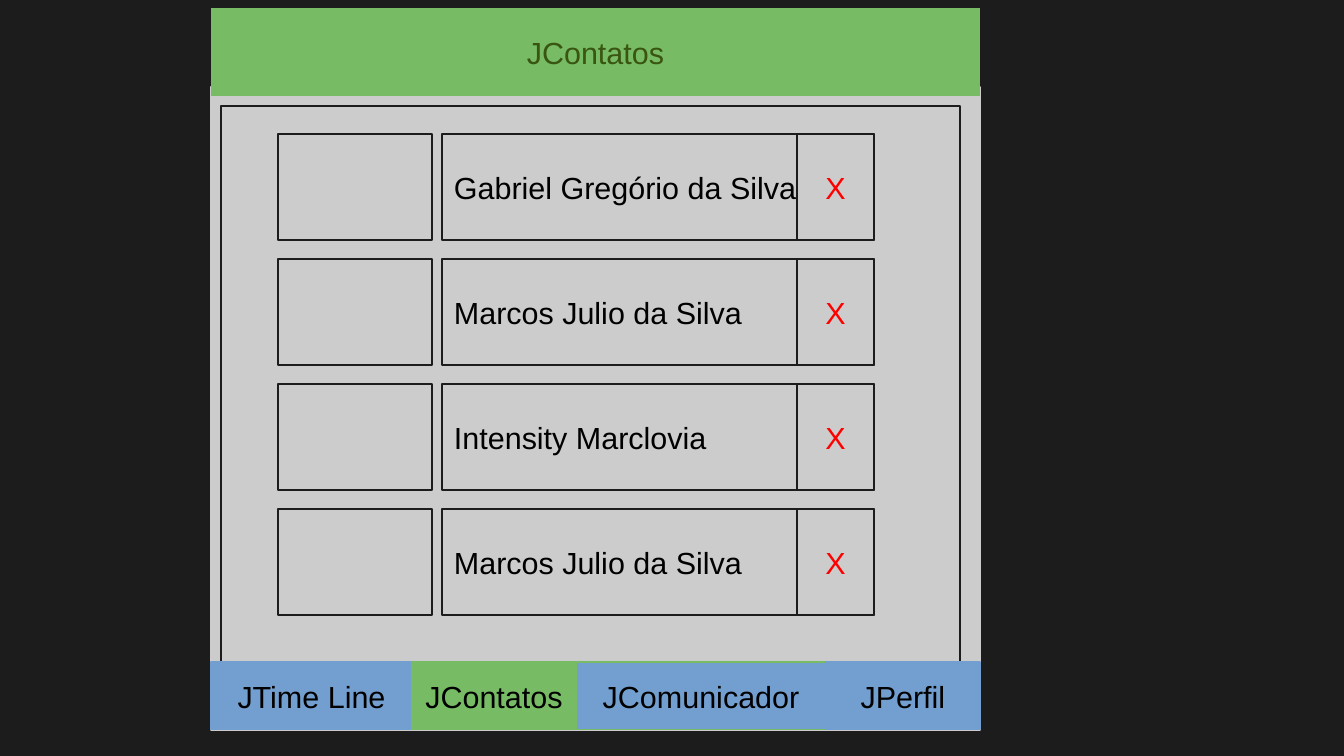
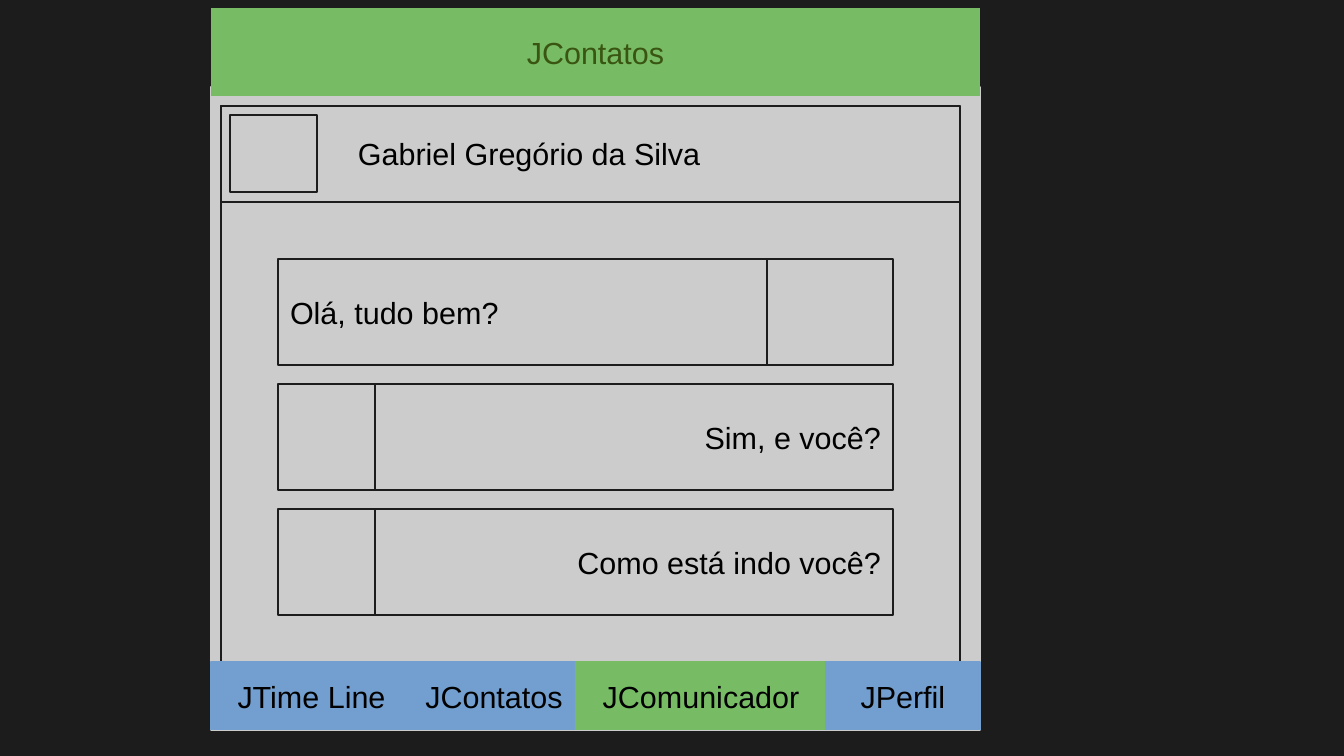
from dataclasses import dataclass

from lxml import etree
from pptx import Presentation
from pptx.dml.color import RGBColor
from pptx.enum.shapes import MSO_SHAPE
from pptx.enum.text import MSO_ANCHOR, MSO_AUTO_SIZE, PP_ALIGN
from pptx.oxml.ns import qn
from pptx.util import Emu, Pt

RECTANGLE = MSO_SHAPE.RECTANGLE
MIDDLE = MSO_ANCHOR.MIDDLE
NO_AUTOFIT = MSO_AUTO_SIZE.NONE
LEFT, CENTER, RIGHT = PP_ALIGN.LEFT, PP_ALIGN.CENTER, PP_ALIGN.RIGHT

EMU_PER_PX = 7495
SLIDE_WIDTH, SLIDE_HEIGHT = 1344, 756
TITLE_ONLY = 5

APP_LEFT, APP_WIDTH = 211, 769
FRAME_LEFT, FRAME_TOP, FRAME_WIDTH = 221, 106, 739
ROW_LEFT, ROW_TOP, ROW_HEIGHT, ROW_PITCH = 278, 134, 106, 125
MESSAGE_WIDTH = 615
TAB_TOP, TAB_HEIGHT = 662, 68


@dataclass(frozen=True)
class Theme:
    backdrop: str = "1C1C1C"
    surface: str = "CCCCCC"
    outline: str = "1C1C1C"
    active: str = "77BC65"
    inactive: str = "729FCF"
    title: str = "395511"
    text: str = "000000"
    remove: str = "FF0000"
    font: str = "Arial"
    size: int = 18


THEME = Theme()

TABS = [
    ("JTime Line", 201, THEME.inactive),
    ("JContatos", 164, THEME.inactive),
    ("JComunicador", 250, THEME.active),
    ("JPerfil", 154, THEME.inactive),
]
CONTACTS = [
    "Gabriel Gregório da Silva",
    "Marcos Julio da Silva",
    "Intensity Marclovia",
    "Marcos Julio da Silva",
]
MESSAGES = [
    ("Olá, tudo bem?", LEFT, 126),
    ("Sim, e você?", RIGHT, 97),
    ("Como está indo você?", RIGHT, 97),
]


def px(length):
    return Emu(length * EMU_PER_PX)


def row_top(index):
    return ROW_TOP + index * ROW_PITCH


class AppMockup:
    def __init__(self):
        self.prs = Presentation()
        self.prs.slide_width = px(SLIDE_WIDTH)
        self.prs.slide_height = px(SLIDE_HEIGHT)
        backdrop = self.prs.slide_master.background.fill
        backdrop.solid()
        backdrop.fore_color.rgb = RGBColor.from_string(THEME.backdrop)
        self.slide = None

    def paint(self, shape, fill, line):
        shape.fill.solid()
        shape.fill.fore_color.rgb = RGBColor.from_string(fill)
        shape.line.color.rgb = RGBColor.from_string(line)
        shape.line.width = Pt(0)

    def label(self, shape, text, color, align):
        frame = shape.text_frame
        frame.word_wrap = False
        frame.auto_size = NO_AUTOFIT
        frame.vertical_anchor = MIDDLE
        paragraph = frame.paragraphs[0]
        paragraph.alignment = align
        run = paragraph.add_run()
        run.text = text
        run.font.name = THEME.font
        run.font.size = Pt(THEME.size)
        run.font.color.rgb = RGBColor.from_string(color)

    def box(self, left, top, width, height, text=None, align=LEFT,
            fill=THEME.surface, line=THEME.outline, color=THEME.text):
        shape = self.slide.shapes.add_shape(
            RECTANGLE, px(left), px(top), px(width), px(height))
        shape.shadow.inherit = False
        self.paint(shape, fill, line)
        if text:
            self.label(shape, text, color, align)
        return shape

    def title(self, text):
        title = self.slide.shapes.title
        title.left, title.top = px(APP_LEFT), px(9)
        title.width, title.height = px(APP_WIDTH), px(87)
        self.paint(title, THEME.active, THEME.active)
        self.label(title, text, THEME.title, CENTER)
        return title

    def screen(self, title):
        layout = self.prs.slide_layouts[TITLE_ONLY]
        self.slide = self.prs.slides.add_slide(layout)
        panel = self.box(APP_LEFT, 87, APP_WIDTH, 643, line=THEME.surface)
        panel.element.addnext(self.title(title).element)
        self.box(FRAME_LEFT, FRAME_TOP, FRAME_WIDTH, 605)

    def contact(self, index, name):
        top = row_top(index)
        self.box(ROW_LEFT, top, 154, ROW_HEIGHT)
        self.box(442, top, 432, ROW_HEIGHT, name)
        remove = self.box(797, top, 77, ROW_HEIGHT, "X", CENTER,
                          color=THEME.remove)
        color = remove.element.spPr.find(qn("a:solidFill"))[0]
        etree.SubElement(color, qn("a:alpha")).set("val", "50000")

    def chat_header(self, name):
        self.box(FRAME_LEFT, FRAME_TOP, FRAME_WIDTH, 96)
        self.box(230, 115, 87, 77)
        self.box(346, 115, 595, 77, name, line=THEME.surface)

    def message(self, index, text, align, avatar_width):
        top = row_top(index)
        bubble_width = MESSAGE_WIDTH - avatar_width
        if align == LEFT:
            bubble_left, avatar_left = ROW_LEFT, ROW_LEFT + bubble_width
        else:
            bubble_left, avatar_left = ROW_LEFT + avatar_width, ROW_LEFT
        self.box(bubble_left, top, bubble_width, ROW_HEIGHT, text, align)
        self.box(avatar_left, top, avatar_width, ROW_HEIGHT)

    def tab_bar(self, current):
        left = APP_LEFT
        for name, width, line in TABS:
            selected = name == current
            self.box(left, TAB_TOP, width, TAB_HEIGHT, name, CENTER,
                     fill=THEME.active if selected else THEME.inactive,
                     line=THEME.active if selected else line)
            left += width


def main():
    app = AppMockup()

    app.screen("JContatos")
    for index, name in enumerate(CONTACTS):
        app.contact(index, name)
    app.tab_bar("JContatos")

    app.screen("JContatos")
    app.chat_header(CONTACTS[0])
    for index, message in enumerate(MESSAGES, start=1):
        app.message(index, *message)
    app.tab_bar("JComunicador")

    app.prs.save("out.pptx")


if __name__ == "__main__":
    main()
